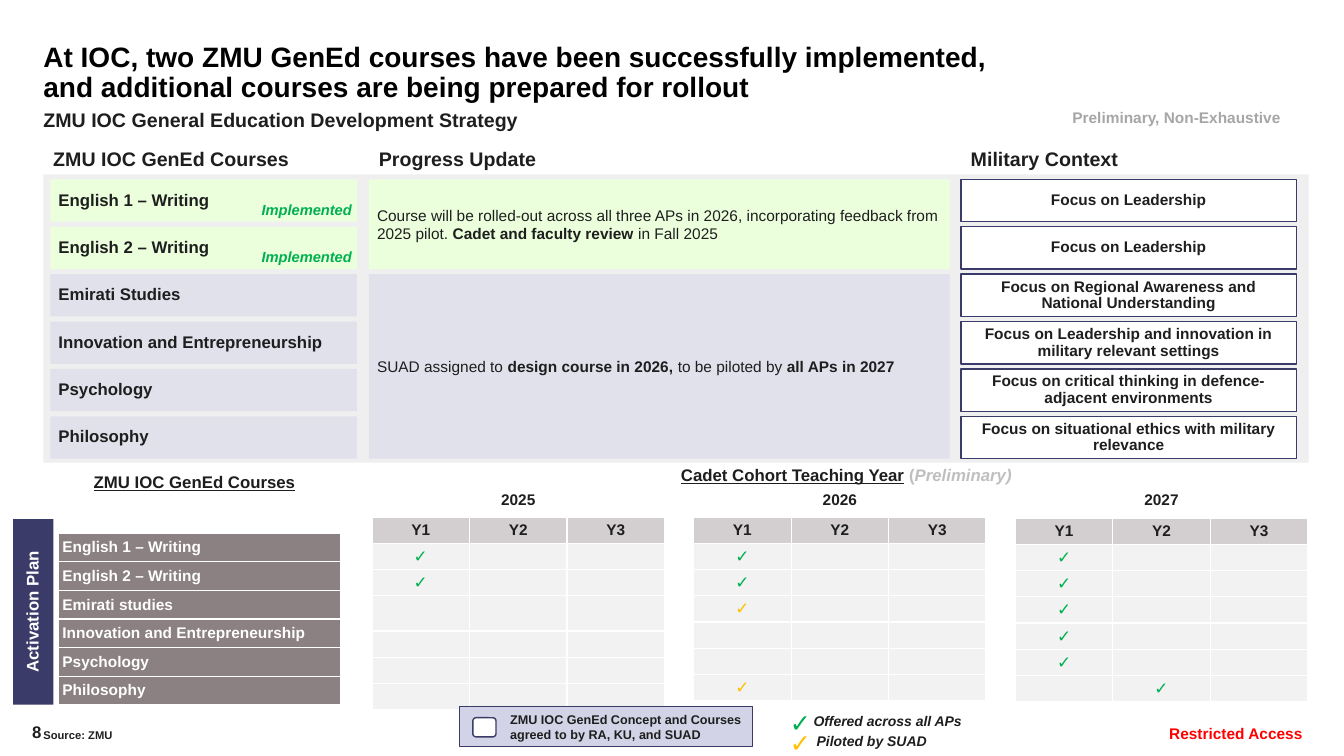
from lxml import etree
from pptx import Presentation
from pptx.dml.color import RGBColor
from pptx.enum.shapes import MSO_SHAPE as Preset
from pptx.enum.text import MSO_ANCHOR as Anchor, PP_ALIGN as Align
from pptx.oxml.ns import qn
from pptx.util import Inches, Pt

COLORS = {
    "ink": "1E1E1E", "black": "000000", "white": "FFFFFF", "navy": "3A3B68",
    "panel": "F0EFEF", "done": "ECFFDD", "planned": "E0E1EB", "legend": "D2D3E6",
    "green": "00B050", "amber": "FFC000", "red": "FF0000", "grey": "A6A6A6",
    "pale": "BFBFBF", "header": "D3CFD0", "cell": "F2F2F2", "course": "8B8082",
}
FONT = "Arial"
CHECK = "✓"
COURSES = ["English 1 – Writing", "English 2 – Writing", "Emirati Studies",
           "Innovation and Entrepreneurship", "Psychology", "Philosophy"]
CONTEXTS = ["Focus on Leadership", "Focus on Leadership",
            "Focus on Regional Awareness and National Understanding",
            "Focus on Leadership and innovation in military relevant settings",
            "Focus on critical thinking in defence-adjacent environments",
            "Focus on situational ethics with military relevance"]
COURSE_X, PROGRESS_X, CONTEXT_X = 0.5, 3.66, 9.53
ROW_TOP, ROW_PITCH, ROW_HEIGHT = 1.78, 0.47, 0.42
YEAR_X, YEAR_PITCH, YEAR_WIDTH = 3.69, 3.19, 2.9
YEAR_ROW = 0.26
YEARS = [
    ("2025", 5.13, {(1, 0): "green", (2, 0): "green"}, {3: 0.35}),
    ("2026", 5.13, {(1, 0): "green", (2, 0): "green", (3, 0): "amber", (6, 0): "amber"}, {}),
    ("2027", 5.14, {**{(row, 0): "green" for row in range(1, 6)}, (6, 1): "green"}, {}),
]


def color(name):
    return RGBColor.from_string(COLORS[name])


def run_of(text, size, ink="ink", bold=True, italic=False, underline=False):
    return text, size, ink, bold, italic, underline


def write(frame, runs, align=Align.LEFT, spacing=0.9, anchor=Anchor.TOP, insets=(0, 0, 0, 0), wrap=True):
    frame.word_wrap = wrap
    frame.vertical_anchor = anchor
    frame.margin_left, frame.margin_top, frame.margin_right, frame.margin_bottom = map(Inches, insets)
    paragraph = frame.paragraphs[0]
    paragraph.alignment = align
    paragraph.line_spacing = spacing
    for text, size, ink, bold, italic, underline in runs:
        run = paragraph.add_run()
        run.text = text
        font = run.font
        font.name, font.size, font.color.rgb = FONT, Pt(size), color(ink)
        font.bold, font.italic, font.underline = bold, italic, underline


def add_label(slide, box, *runs, **layout):
    shape = slide.shapes.add_textbox(*map(Inches, box))
    write(shape.text_frame, runs, **layout)


def add_box(slide, box, fill, *runs, line=None, weight=1, preset=Preset.RECTANGLE, **layout):
    shape = slide.shapes.add_shape(preset, *map(Inches, box))
    shape.shadow.inherit = False
    shape.fill.solid()
    shape.fill.fore_color.rgb = color(fill)
    if line:
        shape.line.color.rgb = color(line)
        shape.line.width = Pt(weight)
    else:
        shape.line.fill.background()
    if runs:
        write(shape.text_frame, runs, **{"anchor": Anchor.MIDDLE, "insets": (0.08,) * 4, **layout})
    return shape


def style_cell(cell, fill, insets, run=None, align=Align.CENTER):
    properties = cell._tc.get_or_add_tcPr()
    for side in ("a:lnL", "a:lnR", "a:lnT", "a:lnB"):
        line = etree.SubElement(properties, qn(side), w=str(Pt(1)))
        solid = etree.SubElement(line, qn("a:solidFill"))
        etree.SubElement(solid, qn("a:srgbClr"), val=COLORS["white"])
    cell.fill.solid()
    cell.fill.fore_color.rgb = color(fill)
    cell.vertical_anchor = Anchor.MIDDLE
    cell.margin_left, cell.margin_top, cell.margin_right, cell.margin_bottom = map(Inches, insets)
    paragraph = cell.text_frame.paragraphs[0]
    paragraph.alignment = align
    if run is None:
        etree.SubElement(paragraph._p, qn("a:endParaRPr"), sz="1100")
        return
    text, size, ink, bold = run[:4]
    part = paragraph.add_run()
    part.text = text
    part.font.name, part.font.size, part.font.bold = FONT, Pt(size), bold
    part.font.color.rgb = color(ink)


def add_grid(slide, left, top, width, heights, columns):
    frame = slide.shapes.add_table(len(heights), columns, Inches(left), Inches(top),
                                   Inches(width), Inches(sum(heights)))
    table = frame.table
    table.first_row = table.horz_banding = False
    for row, height in zip(table.rows, heights):
        row.height = Inches(height)
    return table


def add_year(slide, index, year, top, checks, tall_rows):
    left = YEAR_X + index * YEAR_PITCH
    add_box(slide, (left + 0.66, 4.84, 1.58, 0.25), "white", run_of(year, 11), align=Align.CENTER)
    heights = [tall_rows.get(row, YEAR_ROW) for row in range(len(COURSES) + 1)]
    table = add_grid(slide, left, top, YEAR_WIDTH, heights, 3)
    for row in range(len(heights)):
        for column in range(3):
            run = None
            if row == 0:
                run = run_of(f"Y{column + 1}", 11)
            elif (row, column) in checks:
                run = run_of(CHECK, 12, checks[row, column])
            style_cell(table.cell(row, column), "cell" if row else "header", (0, 0.03, 0, 0.03), run)


def add_strategy(slide):
    add_box(slide, (0.43, 1.73, 12.55, 2.86), "panel")
    for left, heading in ((0.43, "ZMU IOC GenEd Courses"), (PROGRESS_X, "Progress Update"),
                          (CONTEXT_X, "Military Context")):
        add_label(slide, (left, 1.43, 2.77, 0.3), run_of(heading, 14), insets=(0.1, 0.05, 0.1, 0.05))
    for index, (course, context) in enumerate(zip(COURSES, CONTEXTS)):
        top = ROW_TOP + index * ROW_PITCH
        implemented = index < 2
        add_box(slide, (COURSE_X, top, 3.04, ROW_HEIGHT), "done" if implemented else "planned",
                run_of(course, 12))
        add_box(slide, (CONTEXT_X, top, 3.33, ROW_HEIGHT), "white", run_of(context, 11),
                line="navy", align=Align.CENTER)
        if implemented:
            add_label(slide, (2.22, top + 0.23, 1.27, 0.16),
                      run_of("Implemented", 10.5, "green", italic=True), align=Align.RIGHT)
    add_box(slide, (PROGRESS_X, ROW_TOP, 5.76, ROW_PITCH + ROW_HEIGHT), "done",
            run_of("Course will be rolled-out across all three APs in 2026, incorporating feedback "
                   "from 2025 pilot. ", 11, bold=False),
            run_of("Cadet and faculty review ", 11), run_of("in Fall 2025", 11, bold=False), spacing=1.0)
    add_box(slide, (PROGRESS_X, ROW_TOP + 2 * ROW_PITCH, 5.76, 3 * ROW_PITCH + ROW_HEIGHT), "planned",
            run_of("SUAD assigned to ", 11, bold=False), run_of("design course in 2026, ", 11),
            run_of("to be piloted by ", 11, bold=False), run_of("all APs in 2027", 11), spacing=1.0)


def add_activation_plan(slide):
    banner = add_box(slide, (-0.59, 5.87, 1.84, 0.4), "navy",
                     run_of("Activation Plan", 12, "white"), align=Align.CENTER)
    banner.rotation = 270
    add_box(slide, (0.53, 4.67, 2.8, 0.25), "white",
            run_of("ZMU IOC GenEd Courses", 12, underline=True), align=Align.CENTER)
    add_box(slide, (6.53, 4.6, 3.73, 0.25), "white",
            run_of("Cadet Cohort Teaching Year", 12, underline=True), run_of(" ", 12),
            run_of("(", 12, "pale"), run_of("Preliminary)", 12, "pale", italic=True), align=Align.CENTER)
    table = add_grid(slide, 0.58, 5.29, 2.8, [0.28] * len(COURSES), 1)
    for row, course in enumerate(COURSES):
        name = course.replace("Studies", "studies")
        style_cell(table.cell(row, 0), "course", (0.04, 0.05, 0, 0.05),
                   run_of(name, 11, "white"), Align.LEFT)
    for index, year in enumerate(YEARS):
        add_year(slide, index, *year)


def add_legend(slide):
    add_box(slide, (4.56, 7.01, 2.9, 0.4), "legend",
            run_of("ZMU IOC GenEd Concept and Courses agreed to by RA, KU, and SUAD", 9),
            line="navy", weight=0.75, spacing=1.0, insets=(0.5, 0.05, 0, 0.05))
    add_box(slide, (4.69, 7.12, 0.23, 0.19), "white", line="navy", preset=Preset.ROUNDED_RECTANGLE)
    for top, left, ink, meaning in ((6.97, 8.07, "green", "Offered across all APs"),
                                    (7.17, 8.1, "amber", "Piloted by SUAD")):
        add_label(slide, (7.68, top, 0.52, 0.4), run_of(CHECK, 18, ink), align=Align.CENTER,
                  spacing=1.0, anchor=Anchor.MIDDLE, insets=(0.1, 0.05, 0.1, 0.05))
        add_label(slide, (left, top + 0.12, 1.7, 0.15), run_of(meaning, 10, italic=True))


def main():
    presentation = Presentation()
    presentation.slide_width, presentation.slide_height = Inches(13.33), Inches(7.5)
    slide = presentation.slides.add_slide(presentation.slide_layouts[6])
    add_label(slide, (0.43, 0.43, 9.83, 0.61),
              run_of("At IOC, two ZMU GenEd courses have been successfully implemented, "
                     "and additional courses are being prepared for rollout", 20, "black"))
    add_label(slide, (0.43, 1.1, 9.83, 0.21), run_of("ZMU IOC General Education Development Strategy", 14))
    add_label(slide, (10.42, 1.09, 2.5, 0.17), run_of("Preliminary, Non-Exhaustive", 11, "grey"),
              align=Align.CENTER)
    add_strategy(slide)
    add_activation_plan(slide)
    add_legend(slide)
    add_label(slide, (0.12, 7.21, 0.29, 0.15), run_of("8", 12), align=Align.RIGHT, spacing=1.0,
              anchor=Anchor.BOTTOM, wrap=False)
    add_label(slide, (0.43, 7.1, 3.97, 0.26), run_of("Source: ZMU", 8), anchor=Anchor.BOTTOM)
    add_label(slide, (11.51, 7.2, 1.41, 0.17), run_of("Restricted Access", 11, "red"), align=Align.RIGHT)
    presentation.save("out.pptx")


if __name__ == "__main__":
    main()
